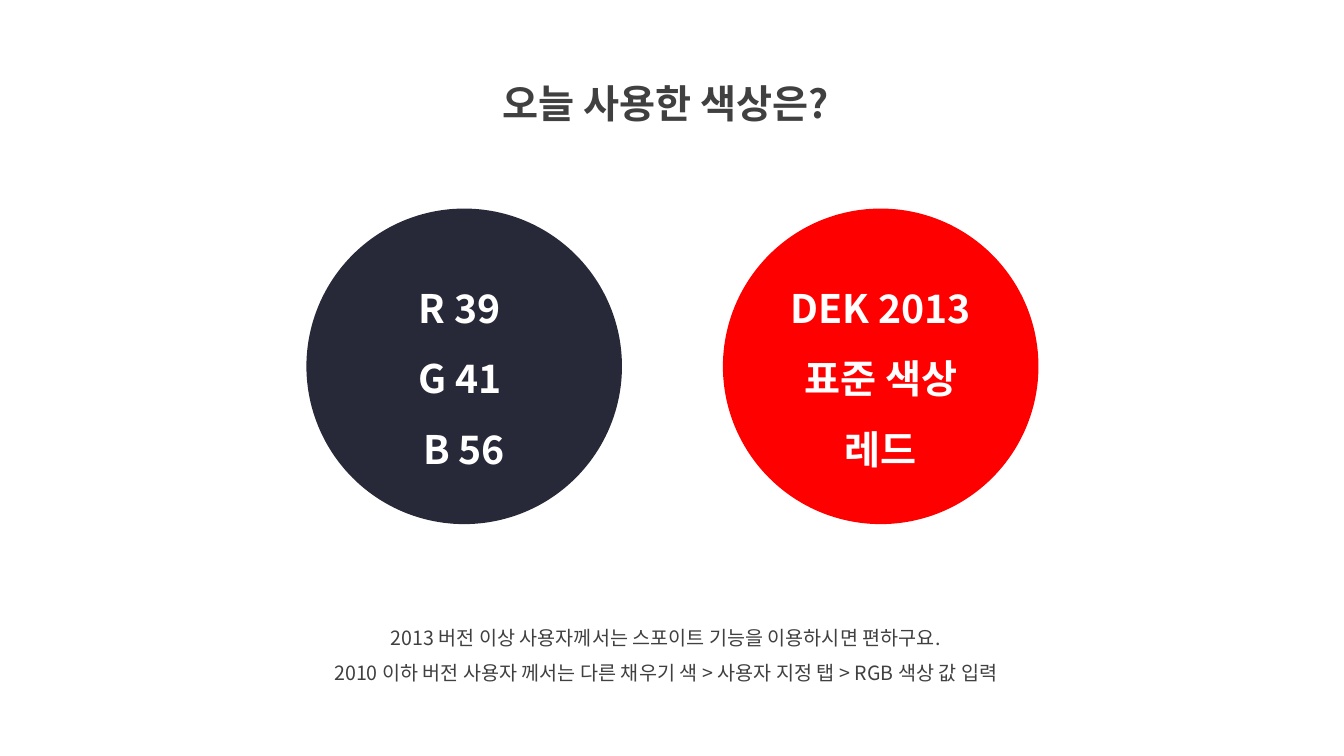
from lxml.etree import SubElement
from pptx import Presentation
from pptx.dml.color import RGBColor
from pptx.enum.shapes import MSO_SHAPE
from pptx.enum.text import MSO_ANCHOR, MSO_AUTO_SIZE, PP_ALIGN
from pptx.oxml.ns import qn
from pptx.util import Pt

FONT = "Noto Sans CJK KR"
GRAY = RGBColor(0x40, 0x40, 0x40)
WHITE = RGBColor(0xFF, 0xFF, 0xFF)
RED = RGBColor(0xFF, 0x00, 0x00)
NAVY = RGBColor(0x27, 0x29, 0x38)


def write(frame, text, size, color, bold, anchor):
    frame.text = text
    frame.word_wrap = True
    frame.vertical_anchor = anchor
    for paragraph in frame.paragraphs:
        paragraph.alignment = PP_ALIGN.CENTER
        paragraph.line_spacing = 1.5
        for run in paragraph.runs:
            run.font.size = Pt(size)
            run.font.bold = bold
            run.font.color.rgb = color
            run.font.name = FONT
            SubElement(run._r.get_or_add_rPr(), qn("a:ea"), typeface=FONT)


deck = Presentation()
deck.slide_width, deck.slide_height = Pt(960), Pt(540)
slide = deck.slides.add_slide(deck.slide_layouts[5])

question = slide.shapes.title
question.left, question.top = Pt(308.9), Pt(36)
question.width, question.height = Pt(333.4), Pt(51.8)
write(question.text_frame, "오늘 사용한 색상은?", 28, GRAY, True, MSO_ANCHOR.TOP)
question.text_frame.auto_size = MSO_AUTO_SIZE.SHAPE_TO_FIT_TEXT

swatches = [
    (516.4, RED, "DEK 2013\n표준 색상\n레드"),
    (218.9, NAVY, "R 39 \nG 41 \nB 56"),
]
for left, color, label in swatches:
    swatch = slide.shapes.add_shape(MSO_SHAPE.OVAL, Pt(left), Pt(149), Pt(225.4), Pt(225.4))
    swatch.shadow.inherit = False
    swatch.fill.solid()
    swatch.fill.fore_color.rgb = color
    swatch.line.fill.background()
    write(swatch.text_frame, label, 28, WHITE, True, MSO_ANCHOR.MIDDLE)

usage = slide.shapes.add_textbox(Pt(187.9), Pt(434.9), Pt(575.3), Pt(58.3))
write(
    usage.text_frame,
    "2013 버전 이상 사용자께서는 스포이트 기능을 이용하시면 편하구요.\n"
    "2010 이하 버전 사용자 께서는 다른 채우기 색 > 사용자 지정 탭 > RGB 색상 값 입력",
    14, GRAY, False, MSO_ANCHOR.TOP,
)
usage.text_frame.auto_size = MSO_AUTO_SIZE.SHAPE_TO_FIT_TEXT

deck.save("out.pptx")
